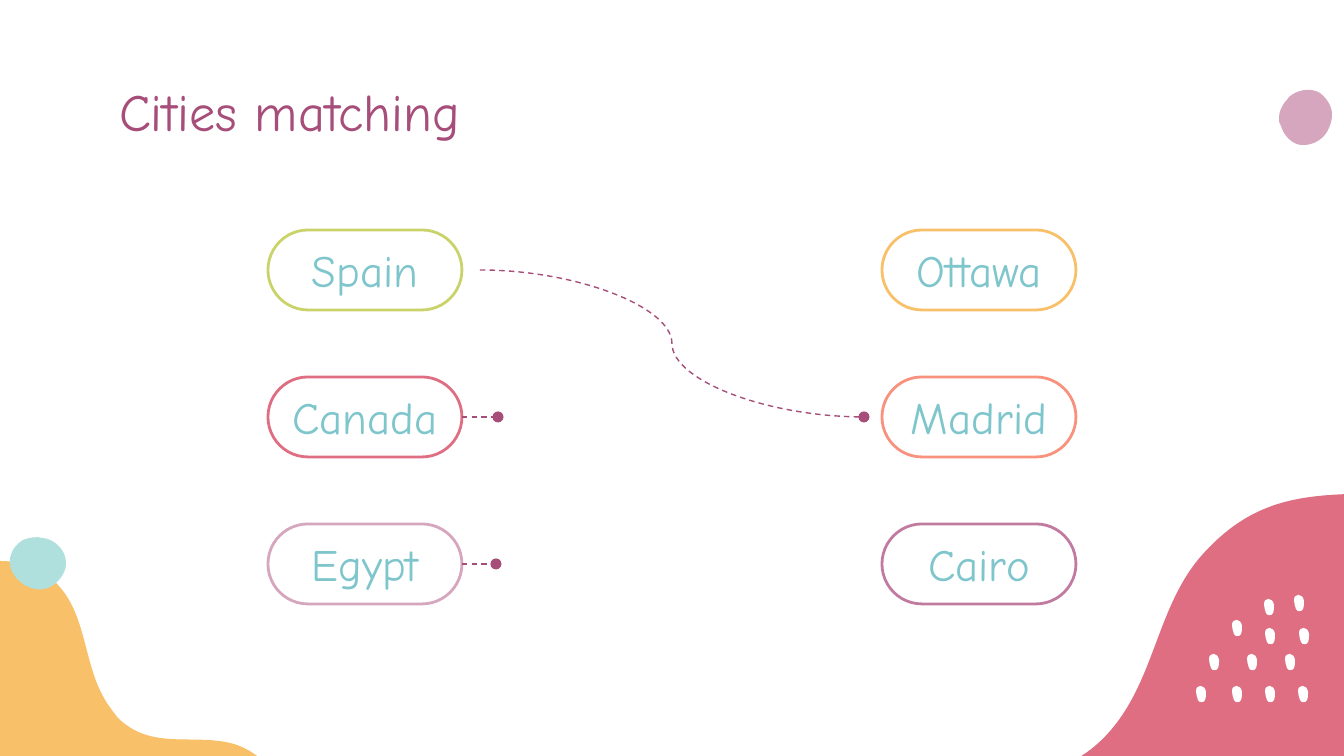
from dataclasses import dataclass

from lxml.etree import SubElement
from pptx import Presentation
from pptx.dml.color import RGBColor
from pptx.enum.dml import MSO_LINE
from pptx.enum.shapes import MSO_CONNECTOR, MSO_SHAPE
from pptx.enum.text import MSO_ANCHOR, MSO_AUTO_SIZE, PP_ALIGN
from pptx.oxml.ns import qn
from pptx.util import Pt


@dataclass(frozen=True)
class Theme:
    font: str = "Comic Neue"
    title_size: int = 28
    label_size: int = 24
    pill_line: float = 1.5
    link_line: float = 0.75
    plum: str = "A64D79"
    teal: str = "7EC6CC"
    yellow: str = "F7C069"
    red: str = "DF6E82"
    pink: str = "D5A6BD"
    mint: str = "AFE0DD"
    lime: str = "CAD26A"
    coral: str = "F8927E"
    mauve: str = "C27BA0"
    white: str = "FFFFFF"


THEME = Theme()
EMU_PER_PX = 914400 / 134.4
SLIDE_SIZE = (1344, 756)

TITLE = "Cities matching"
TITLE_BOX = (106, 66, 1132, 83)
COLUMNS = [
    (268, [("Spain", THEME.lime), ("Canada", THEME.red), ("Egypt", THEME.pink)]),
    (882, [("Ottawa", THEME.yellow), ("Madrid", THEME.coral), ("Cairo", THEME.mauve)]),
]
PILL_TOP, PILL_PITCH = 230, 147
PILL_WIDTH, PILL_HEIGHT = 194, 80
LINKS = [
    (MSO_CONNECTOR.CURVE, (480, 0), (864, 1)),
    (MSO_CONNECTOR.STRAIGHT, (462, 1), (498, 1)),
    (MSO_CONNECTOR.STRAIGHT, (462, 2), (496, 2)),
]

RED_HILL = [
    (980, 774), (1042, 782), (1093, 765), (1128, 706),
    (1157, 657), (1164, 597), (1203, 554), (1259, 492), (1314, 495), (1388, 493),
    (1390, 515), (1390, 535), (1390, 556), (1390, 638), (1384, 722), (1380, 802),
    (1302, 796), (1223, 804), (1145, 804), (1086, 804), (1025, 814), (980, 774),
]
YELLOW_HILL = [
    (406, 835), (403, 831), (398, 828), (394, 825),
    (364, 808), (324, 831), (296, 808), (286, 798), (282, 781), (273, 770),
    (271, 769), (270, 766), (267, 765), (257, 754), (243, 746), (230, 743),
    (190, 734), (151, 750), (118, 718), (116, 715), (113, 712), (112, 710),
    (82, 672), (90, 618), (57, 584), (23, 550), (-15, 563), (-58, 566),
    (-90, 567), (-101, 551), (-129, 539), (-141, 534), (-173, 536), (-176, 534),
    (-179, 546), (-169, 567), (-157, 587), (-134, 626), (-102, 665), (-69, 699),
    (-47, 720), (-24, 741), (-3, 758), (81, 828), (156, 879), (263, 898),
    (306, 905), (352, 906), (395, 909), (414, 909), (422, 910), (427, 891),
    (431, 872), (421, 849), (406, 835),
]
PINK_PEBBLE = [
    (1331, 108), (1329, 102), (1325, 97), (1320, 93),
    (1310, 87), (1297, 90), (1289, 97), (1288, 99), (1286, 101), (1285, 102),
    (1282, 106), (1279, 112), (1279, 117), (1279, 121), (1279, 124), (1281, 126),
    (1284, 136), (1292, 144), (1301, 145), (1314, 146), (1325, 138), (1329, 128),
    (1332, 121), (1333, 114), (1331, 108),
]
MINT_PEBBLE = [
    (23, 540), (17, 544), (13, 548), (11, 555),
    (7, 564), (13, 577), (22, 583), (23, 585), (26, 586), (27, 586),
    (32, 589), (38, 590), (43, 589), (46, 589), (50, 587), (52, 586),
    (60, 581), (67, 571), (66, 562), (66, 550), (54, 539), (43, 538),
    (36, 536), (28, 538), (23, 540),
]
FLECK = [
    (-5, -3), (-5, -10), (4, -10), (5, -2), (5, 0), (5, 4), (4, 6),
    (3, 9), (-2, 9), (-3, 6), (-4, 3), (-5, 0), (-5, -3),
]
FLECK_ROWS = [
    (603, [1299]), (607, [1269]), (628, [1237]), (636, [1270, 1304]),
    (662, [1214, 1252, 1290]), (694, [1201, 1237, 1270, 1303]),
]


def px(*lengths):
    return [round(length * EMU_PER_PX) for length in lengths]


def color(value):
    return RGBColor.from_string(value)


def style_text(shape, text, size, text_color, alignment, anchor):
    frame = shape.text_frame
    frame.text = text
    frame.word_wrap = True
    frame.auto_size = MSO_AUTO_SIZE.NONE
    frame.vertical_anchor = anchor
    paragraph = frame.paragraphs[0]
    paragraph.alignment = alignment
    paragraph.font.name = THEME.font
    paragraph.font.size = Pt(size)
    paragraph.font.color.rgb = color(text_color)


def add_blob(slide, points, fill):
    builder = slide.shapes.build_freeform(*points[0], scale=EMU_PER_PX)
    builder.add_line_segments(points[1:], close=True)
    shape = builder.convert_to_shape()
    shape.shadow.inherit = False
    shape.fill.solid()
    shape.fill.fore_color.rgb = color(fill)
    shape.line.fill.background()
    outline = next(shape.element.iter(qn("a:path")))
    segments = outline.findall(qn("a:lnTo"))
    close = outline.find(qn("a:close"))
    for first in range(0, len(segments), 3):
        curve = SubElement(outline, qn("a:cubicBezTo"))
        for segment in segments[first:first + 3]:
            curve.append(segment[0])
            outline.remove(segment)
    outline.append(close)


def add_pill(slide, left, top, label, line_color):
    pill = slide.shapes.add_shape(
        MSO_SHAPE.ROUNDED_RECTANGLE, *px(left, top, PILL_WIDTH, PILL_HEIGHT))
    pill.adjustments[0] = 0.5
    pill.shadow.inherit = False
    pill.fill.background()
    pill.line.color.rgb = color(line_color)
    pill.line.width = Pt(THEME.pill_line)
    frame = pill.text_frame
    frame.margin_left = frame.margin_right = frame.margin_top = frame.margin_bottom = 0
    style_text(pill, label, THEME.label_size, THEME.teal, PP_ALIGN.CENTER, MSO_ANCHOR.MIDDLE)


def row_middle(row):
    return PILL_TOP + row * PILL_PITCH + PILL_HEIGHT / 2


def add_link(slide, kind, start, end):
    (start_x, start_row), (end_x, end_row) = start, end
    link = slide.shapes.add_connector(
        kind, *px(start_x, row_middle(start_row), end_x, row_middle(end_row)))
    link.line.color.rgb = color(THEME.plum)
    link.line.width = Pt(THEME.link_line)
    link.line.dash_style = MSO_LINE.DASH
    properties = link.element.spPr
    SubElement(properties.find(qn("a:ln")), qn("a:tailEnd"), type="oval")
    SubElement(properties, qn("a:effectLst"))


def main():
    presentation = Presentation()
    presentation.slide_width, presentation.slide_height = px(*SLIDE_SIZE)
    slide = presentation.slides.add_slide(presentation.slide_layouts[5])

    title = slide.shapes.title
    title.left, title.top, title.width, title.height = px(*TITLE_BOX)
    frame = title.text_frame
    frame.margin_left = frame.margin_right = frame.margin_top = frame.margin_bottom = px(13)[0]
    style_text(title, TITLE, THEME.title_size, THEME.plum, PP_ALIGN.LEFT, MSO_ANCHOR.TOP)

    add_blob(slide, RED_HILL, THEME.red)
    for middle, centers in FLECK_ROWS:
        for center in centers:
            add_blob(slide, [(center + x, middle + y) for x, y in FLECK], THEME.white)
    add_blob(slide, YELLOW_HILL, THEME.yellow)
    add_blob(slide, PINK_PEBBLE, THEME.pink)
    add_blob(slide, MINT_PEBBLE, THEME.mint)

    for left, pills in COLUMNS:
        for row, (label, line_color) in enumerate(pills):
            add_pill(slide, left, PILL_TOP + row * PILL_PITCH, label, line_color)
    for link in LINKS:
        add_link(slide, *link)

    presentation.save("out.pptx")


if __name__ == "__main__":
    main()
